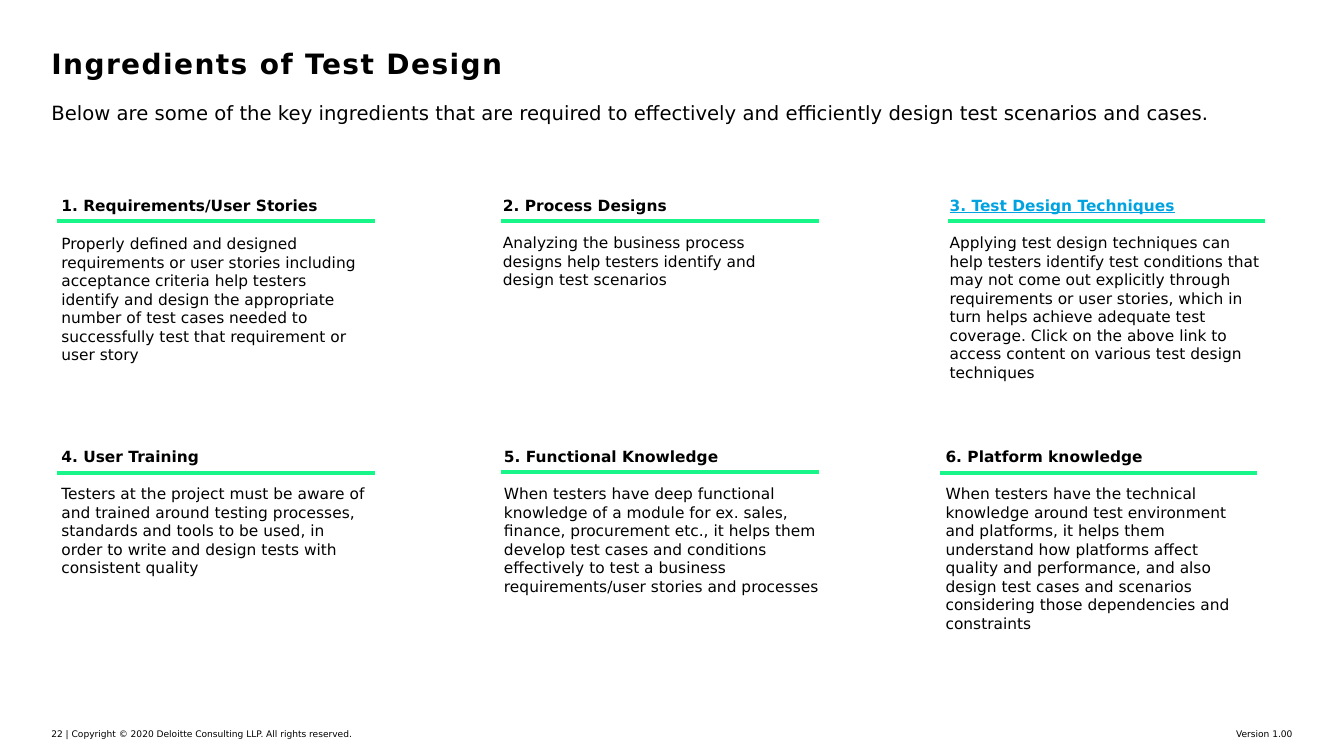
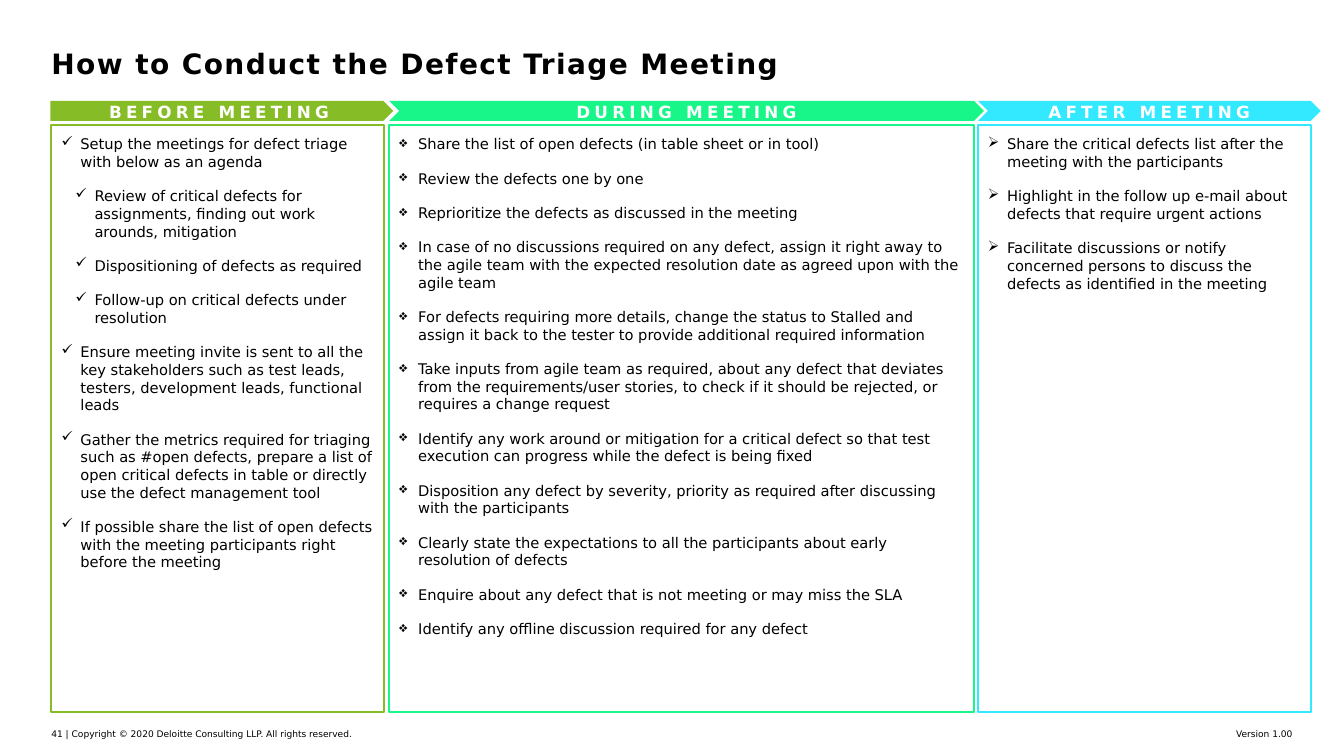
from dataclasses import dataclass

from lxml.etree import SubElement
from pptx import Presentation
from pptx.dml.color import RGBColor
from pptx.enum.shapes import MSO_CONNECTOR, MSO_SHAPE
from pptx.enum.text import MSO_ANCHOR, MSO_AUTO_SIZE, PP_ALIGN
from pptx.oxml.ns import qn
from pptx.util import Emu, Pt

EMU_PER_PX = 9144  # 100 px to the inch


@dataclass(frozen=True)
class Theme:
    font: str = "DejaVu Sans"
    text: str = "000000"
    white: str = "FFFFFF"
    link: str = "00A3E0"
    olive: str = "86BC25"
    green: str = "18F689"
    cyan: str = "32E9FF"
    title_size: float = 20
    lead_size: float = 14
    band_size: float = 12
    card_size: float = 11
    list_size: float = 10.5
    footer_size: float = 6.5
    rule_width: float = 3
    frame_width: float = 1.5


THEME = Theme()


@dataclass(frozen=True)
class Card:
    left: int
    width: int
    rule_left: int
    heading: str
    body: str
    color: str = THEME.text
    underline: bool = False
    gap: int = 13


@dataclass(frozen=True)
class Phase:
    heading: str
    preset: MSO_SHAPE
    color: str
    bullet: str
    band: tuple  # left, width
    frame: tuple  # left, width
    items: tuple  # (level, text)


# Content
CARD_ROWS = (
    (190, (219, 219, 219), (
        Card(51, 321, 57, "1. Requirements/User Stories",
             "Properly defined and designed requirements or user stories including acceptance criteria "
             "help testers identify and design the appropriate number of test cases needed to "
             "successfully test that requirement or user story", gap=14),
        Card(489, 323, 497, "2. Process Designs",
             "Analyzing the business process designs help testers identify and design test scenarios"),
        Card(932, 333, 940, "3. Test Design Techniques",
             "Applying test design techniques can help testers identify test conditions that may not "
             "come out explicitly through requirements or user stories, which in turn helps achieve "
             "adequate test coverage. Click on the above link to access content on various test "
             "design techniques", color=THEME.link, underline=True),
    )),
    (439, (469, 468, 469), (
        Card(51, 321, 57, "4. User Training",
             "Testers at the project must be aware of and trained around testing processes, standards "
             "and tools to be used, in order to write and design tests with consistent quality"),
        Card(490, 342, 497, "5. Functional Knowledge",
             "When testers have deep functional knowledge of a module for ex. sales, finance, "
             "procurement etc., it helps them develop test cases and conditions effectively to test a "
             "business requirements/user stories and processes"),
        Card(928, 324, 932, "6. Platform knowledge",
             "When testers have the technical knowledge around test environment and platforms, it "
             "helps them understand how platforms affect quality and performance, and also design "
             "test cases and scenarios considering those dependencies and constraints"),
    )),
)

PHASES = (
    Phase("BEFORE MEETING", MSO_SHAPE.PENTAGON, THEME.olive, "✓", (50, 340), (51, 330), (
        (0, "Setup the meetings for defect triage with below as an agenda"),
        (1, "Review of critical defects for assignments, finding out work arounds, mitigation"),
        (1, "Dispositioning of defects as required"),
        (1, "Follow-up on critical defects under resolution"),
        (0, "Ensure meeting invite is sent to all the key stakeholders such as test leads, testers, "
            "development leads, functional leads"),
        (0, "Gather the metrics required for triaging such as #open defects, prepare a list of open "
            "critical defects in table or directly use the defect management tool"),
        (0, "If possible share the list of open defects with the meeting participants right before "
            "the meeting"),
    )),
    Phase("DURING MEETING", MSO_SHAPE.CHEVRON, THEME.green, "❖", (386, 590), (386, 580), (
        (0, "Share the list of open defects (in table sheet or in tool)"),
        (0, "Review the defects one by one"),
        (0, "Reprioritize the defects as discussed in the meeting"),
        (0, "In case of no discussions required on any defect, assign it right away to the agile "
            "team with the expected resolution date as agreed upon with the agile team"),
        (0, "For defects requiring more details, change the status to Stalled and assign it back to "
            "the tester to provide additional required information"),
        (0, "Take inputs from agile team as required, about any defect that deviates from the "
            "requirements/user stories, to check if it should be rejected, or requires a change "
            "request"),
        (0, "Identify any work around or mitigation for a critical defect so that test execution "
            "can progress while the defect is being fixed"),
        (0, "Disposition any defect by severity, priority as required after discussing with the "
            "participants"),
        (0, "Clearly state the expectations to all the participants about early resolution of "
            "defects"),
        (0, "Enquire about any defect that is not meeting or may miss the SLA"),
        (0, "Identify any offline discussion required for any defect"),
    )),
    Phase("AFTER MEETING", MSO_SHAPE.CHEVRON, THEME.cyan, "➢", (970, 340), (970, 330), (
        (0, "Share the critical defects list after the meeting with the participants"),
        (0, "Highlight in the follow up e-mail about defects that require urgent actions"),
        (0, "Facilitate discussions or notify concerned persons to discuss the defects as "
            "identified in the meeting"),
    )),
)


# Helpers
def px(value):
    return Emu(value * EMU_PER_PX)


def rgb(color):
    return RGBColor.from_string(color)


def set_insets(text_frame, horizontal, vertical):
    text_frame.margin_left = text_frame.margin_right = px(horizontal)
    text_frame.margin_top = text_frame.margin_bottom = px(vertical)


def style(paragraph, size, color=THEME.text, bold=False, tracking=0, align=PP_ALIGN.LEFT):
    paragraph.alignment = align
    font = paragraph.font
    font.name, font.size, font.bold = THEME.font, Pt(size), bold
    font.color.rgb = rgb(color)
    if tracking:
        paragraph._p.pPr.find(qn("a:defRPr")).set("spc", str(tracking * 100))


def write_paragraphs(text_frame, texts):
    """Fill the frame with one paragraph per text and return the paragraphs."""
    text_frame.text = "\n".join(texts)
    return text_frame.paragraphs


def set_bullet(paragraph, bullet, level):
    paragraph.level = level
    properties = paragraph._p.get_or_add_pPr()
    properties.set("marL", str(px(19 + 14 * level)))
    properties.set("indent", str(px(-19)))
    SubElement(properties, qn("a:buChar")).set("char", bullet)


def add_text_box(slide, left, top, width, height, horizontal=0, vertical=0):
    box = slide.shapes.add_textbox(px(left), px(top), px(width), px(height))
    box.text_frame.word_wrap = True
    set_insets(box.text_frame, horizontal, vertical)
    return box.text_frame


def add_line_of_text(slide, left, top, width, height, text, size, align=PP_ALIGN.LEFT):
    frame = add_text_box(slide, left, top, width, height)
    style(write_paragraphs(frame, [text])[0], size, align=align)


def add_preset(slide, preset, left, top, width, height):
    shape = slide.shapes.add_shape(preset, px(left), px(top), px(width), px(height))
    shape.shadow.inherit = False
    shape.text_frame.word_wrap = True
    return shape


# Shared slide parts
def add_titled_slide(presentation, title_text, page):
    slide = presentation.slides.add_slide(presentation.slide_layouts[5])
    title = slide.shapes.title
    title.left, title.top, title.width, title.height = px(51), px(44), px(1231), px(37)
    frame = title.text_frame
    frame.auto_size = MSO_AUTO_SIZE.NONE
    frame.vertical_anchor = MSO_ANCHOR.MIDDLE
    set_insets(frame, 0, 0)
    style(write_paragraphs(frame, [title_text])[0], THEME.title_size, bold=True, tracking=1)
    add_line_of_text(slide, 51, 723, 586, 11,
                     f"{page} | Copyright © 2020 Deloitte Consulting LLP. All rights reserved.",
                     THEME.footer_size)
    add_line_of_text(slide, 972, 723, 310, 11, "Version 1.00", THEME.footer_size, PP_ALIGN.RIGHT)
    return slide


# Content parts
def add_rule(slide, left, top, width):
    rule = slide.shapes.add_connector(
        MSO_CONNECTOR.STRAIGHT, px(left), px(top), px(left + width), px(top))
    rule.line.color.rgb = rgb(THEME.green)
    rule.line.width = Pt(THEME.rule_width)
    SubElement(rule._element.spPr, qn("a:effectLst"))


def add_card(slide, card, top, rule_top):
    frame = add_text_box(slide, card.left, top, card.width, 193, 10, 5)
    heading, body = write_paragraphs(frame, [card.heading, card.body])
    style(heading, THEME.card_size, card.color, bold=True)
    heading.font.underline = card.underline
    body.space_before = Pt(card.gap)
    style(body, THEME.card_size)
    add_rule(slide, card.rule_left, rule_top, 315)


def add_frame(slide, phase):
    left, width = phase.frame
    shape = add_preset(slide, MSO_SHAPE.RECTANGLE, left, 124, width, 582)
    shape.fill.background()
    shape.line.color.rgb = rgb(phase.color)
    shape.line.width = Pt(THEME.frame_width)
    frame = shape.text_frame
    frame.vertical_anchor = MSO_ANCHOR.TOP
    set_insets(frame, 10, 10)
    paragraphs = write_paragraphs(frame, [text for _, text in phase.items])
    for paragraph, (level, _) in zip(paragraphs, phase.items):
        set_bullet(paragraph, phase.bullet, level)
        paragraph.space_after = Pt(12)
        style(paragraph, THEME.list_size)


def add_band(slide, phase):
    left, width = phase.band
    band = add_preset(slide, phase.preset, left, 100, width, 20)
    band.fill.solid()
    band.fill.fore_color.rgb = rgb(phase.color)
    band.line.fill.background()
    frame = band.text_frame
    frame.vertical_anchor = MSO_ANCHOR.MIDDLE
    set_insets(frame, 10, 0)
    paragraph = write_paragraphs(frame, [phase.heading])[0]
    paragraph.line_spacing = 1.06
    style(paragraph, THEME.band_size, THEME.white, bold=True, tracking=3, align=PP_ALIGN.CENTER)


# Slides
def build_ingredients(presentation):
    slide = add_titled_slide(presentation, "Ingredients of Test Design", 22)
    add_line_of_text(slide, 51, 100, 1228, 44,
                     "Below are some of the key ingredients that are required to effectively and "
                     "efficiently design test scenarios and cases.", THEME.lead_size)
    for top, rule_tops, cards in CARD_ROWS:
        for card, rule_top in zip(cards, rule_tops):
            add_card(slide, card, top, rule_top)


def build_triage_meeting(presentation):
    slide = add_titled_slide(presentation, "How to Conduct the Defect Triage Meeting", 41)
    for phase in PHASES:
        add_frame(slide, phase)
        add_band(slide, phase)


def main():
    presentation = Presentation()
    presentation.slide_width, presentation.slide_height = px(1333), px(750)
    build_ingredients(presentation)
    build_triage_meeting(presentation)
    presentation.save("out.pptx")


if __name__ == "__main__":
    main()
